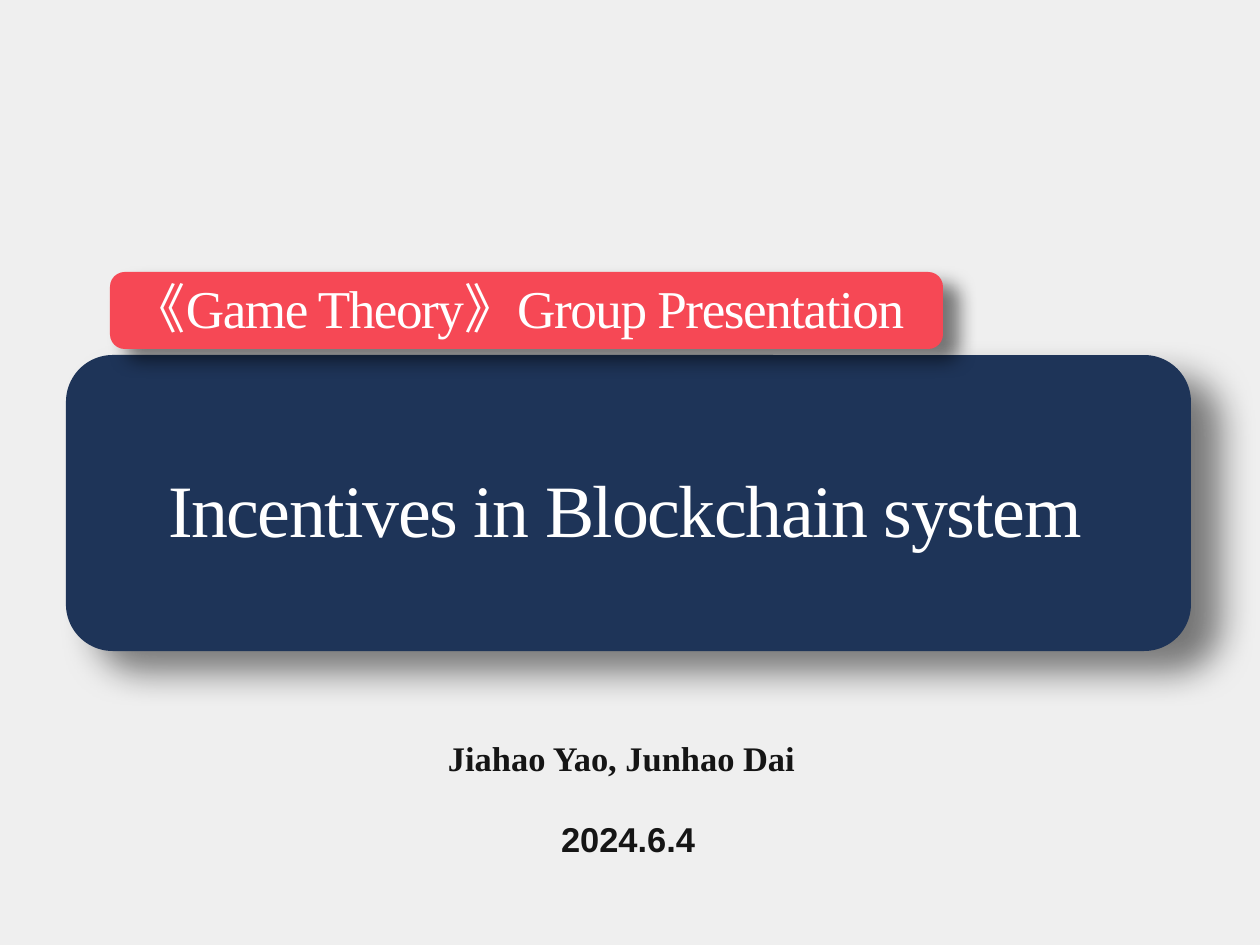
"""Build the title slide of a talk on incentives in blockchain systems."""
from dataclasses import dataclass

import pptx
import pptx.dml.color
import pptx.enum.shapes
import pptx.enum.text
import pptx.oxml
import pptx.oxml.ns
import pptx.util
from pptx.slide import Slide

PX = 10320
INSET = 5
LEFT = pptx.enum.text.PP_ALIGN.LEFT
CENTER = pptx.enum.text.PP_ALIGN.CENTER
MIDDLE = pptx.enum.text.MSO_ANCHOR.MIDDLE
BOTTOM = pptx.enum.text.MSO_ANCHOR.BOTTOM
Box = tuple[int, int, int, int]


@dataclass
class Panel:
    """A rounded panel with a soft shadow."""
    box: Box
    fill: str
    rounding: float
    blur: float
    distance: float


@dataclass
class Caption:
    """A line of text in its box."""
    text: str
    box: Box
    size: float
    color: str
    font: str = "Times New Roman"
    bold: bool = False
    spacing: float = 0
    align: pptx.enum.text.PP_ALIGN = CENTER
    anchor: pptx.enum.text.MSO_ANCHOR = MIDDLE


PANELS = [
    Panel((66, 355, 1125, 296), "1E3458", 0.158, 30, 29.5),
    Panel((110, 272, 833, 77), "F64855", 0.191, 15, 15),
]
CAPTIONS = [
    Caption("Jiahao Yao, Junhao Dai", (443, 708, 376, 75), 28, "151515",
            bold=True, align=LEFT, anchor=BOTTOM),
    Caption("Incentives in Blockchain system", (163, 365, 1027, 286), 60, "FFFFFF",
            spacing=-1.2, align=LEFT),
    Caption("《Game Theory》Group Presentation", (103, 269, 831, 77), 43.2, "FFFFFF",
            spacing=-1.2),
    Caption("2024.6.4", (556, 813, 144, 51), 28, "151515", font="Arial", bold=True),
]


def px(length: int) -> pptx.util.Emu:
    """Turn pixels into EMU."""
    return pptx.util.Emu(length * PX)


def rgb(value: str) -> pptx.dml.color.RGBColor:
    """Turn a hex string into a colour."""
    return pptx.dml.color.RGBColor.from_string(value)


def draw_panel(slide: Slide, panel: Panel) -> None:
    """Draw a rounded panel and its shadow."""
    shape = slide.shapes.add_shape(
        pptx.enum.shapes.MSO_SHAPE.ROUNDED_RECTANGLE, *map(px, panel.box))
    shape.adjustments[0] = panel.rounding
    shape.fill.solid()
    shape.fill.fore_color.rgb = rgb(panel.fill)
    shape.line.fill.background()
    shape.shadow.inherit = False
    effects = shape.element.spPr.find(pptx.oxml.ns.qn("a:effectLst"))
    effects.append(pptx.oxml.parse_xml(
        f'<a:outerShdw {pptx.oxml.ns.nsdecls("a")} blurRad="{pptx.util.Pt(panel.blur)}" '
        f'dist="{pptx.util.Pt(panel.distance)}" dir="{36 * 60000}" algn="tl" rotWithShape="0">'
        '<a:srgbClr val="000000"><a:alpha val="50000"/></a:srgbClr></a:outerShdw>'))


def draw_caption(slide: Slide, caption: Caption) -> None:
    """Draw a line of text."""
    frame = slide.shapes.add_textbox(*map(px, caption.box)).text_frame
    frame.text = caption.text
    frame.word_wrap = True
    frame.vertical_anchor = caption.anchor
    frame.margin_left = frame.margin_right = px(INSET)
    frame.margin_top = frame.margin_bottom = px(INSET)
    paragraph = frame.paragraphs[0]
    paragraph.alignment = caption.align
    font = paragraph.runs[0].font
    font.name = caption.font
    font.size = pptx.util.Pt(caption.size)
    font.bold = caption.bold
    font.color.rgb = rgb(caption.color)
    properties = paragraph.runs[0]._r.get_or_add_rPr()
    properties.set("spc", str(round(caption.spacing * 100)))
    properties.append(pptx.oxml.parse_xml(
        f'<a:ea {pptx.oxml.ns.nsdecls("a")} typeface="Noto Sans CJK SC"/>'))


def main() -> None:
    """Build and save the slide."""
    deck = pptx.Presentation()
    deck.slide_width, deck.slide_height = px(1260), px(945)
    slide = deck.slides.add_slide(deck.slide_layouts[6])
    slide.background.fill.solid()
    slide.background.fill.fore_color.rgb = rgb("EFEFEF")
    for panel in PANELS:
        draw_panel(slide, panel)
    for caption in CAPTIONS:
        draw_caption(slide, caption)
    deck.save("out.pptx")


if __name__ == "__main__":
    main()
